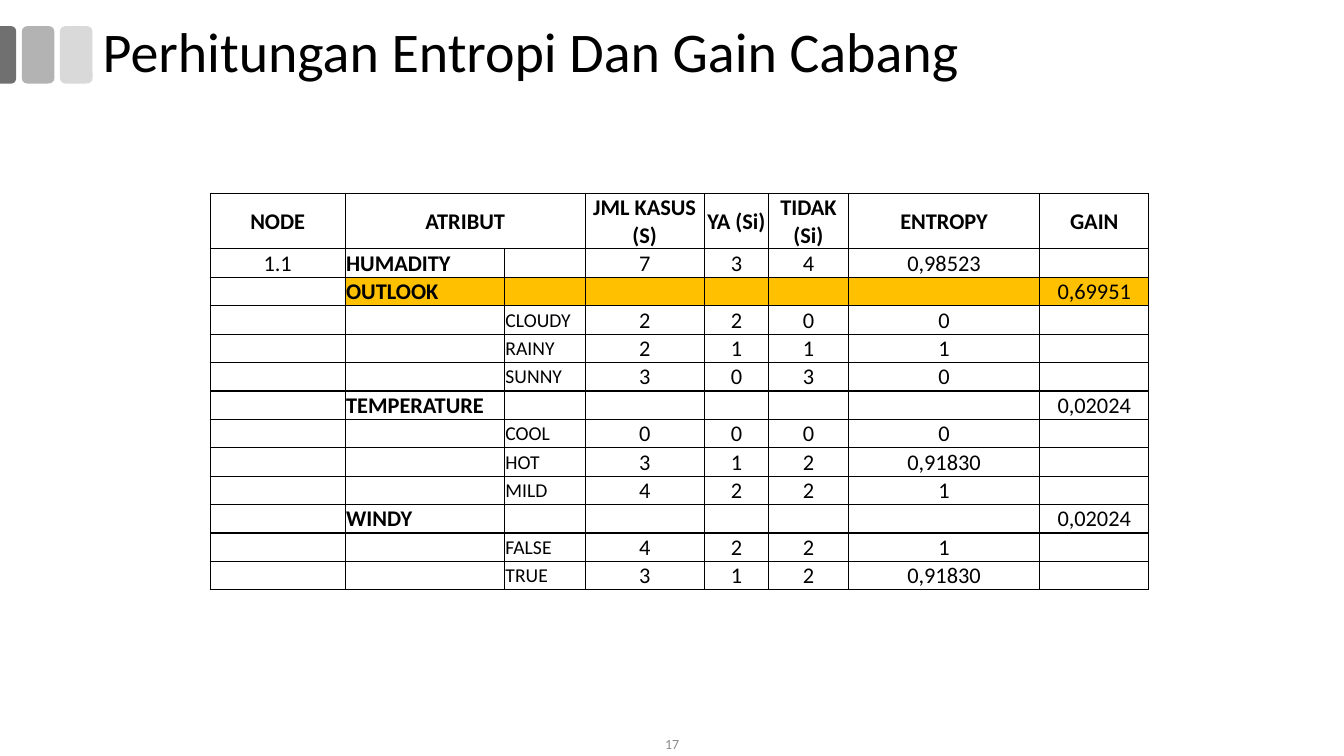
from lxml import etree
from pptx import Presentation
from pptx.dml.color import RGBColor
from pptx.enum import shapes, text
from pptx.oxml.ns import qn
from pptx.util import Pt

COLORS = {
    "black": "000000", "white": "FFFFFF", "highlight": "FFC000", "number": "8C8C8C",
    "dark": "707070", "middle": "B3B3B3", "light": "D9D9D9",
}
FONT = "Calibri"
COLUMN_WIDTHS = [96.5, 113.8, 57.6, 85, 46.1, 56.9, 136.8, 77.8]
HEADER_HEIGHT, ROW_HEIGHT = 39.6, 20.3
HEADER = ["NODE", "ATRIBUT", "", "JML KASUS (S)", "YA (Si)", "TIDAK (Si)", "ENTROPY", "GAIN"]
ROWS = [
    ["1.1", "HUMADITY", "", "7", "3", "4", "0,98523", ""],
    ["", "OUTLOOK", "", "", "", "", "", "0,69951"],
    ["", "", "CLOUDY", "2", "2", "0", "0", ""],
    ["", "", "RAINY", "2", "1", "1", "1", ""],
    ["", "", "SUNNY", "3", "0", "3", "0", ""],
    ["", "TEMPERATURE", "", "", "", "", "", "0,02024"],
    ["", "", "COOL", "0", "0", "0", "0", ""],
    ["", "", "HOT", "3", "1", "2", "0,91830", ""],
    ["", "", "MILD", "4", "2", "2", "1", ""],
    ["", "WINDY", "", "", "", "", "", "0,02024"],
    ["", "", "FALSE", "4", "2", "2", "1", ""],
    ["", "", "TRUE", "3", "1", "2", "0,91830", ""],
]
ATTRIBUTE, VALUE = 1, 2
HIGHLIGHT_ROW = 2


def color(name):
    return RGBColor.from_string(COLORS[name])


def style_paragraph(paragraph, size, color_name="black", bold=False, align=text.PP_ALIGN.LEFT):
    paragraph.alignment = align
    font = paragraph.font
    font.name, font.size, font.bold = FONT, Pt(size), bold
    font.color.rgb = color(color_name)


def add_block(slide, kind, box, fill, rotation=0):
    shape = slide.shapes.add_shape(kind, *map(Pt, box))
    shape.shadow.inherit = False
    shape.fill.solid()
    shape.fill.fore_color.rgb = color(fill)
    shape.line.fill.background()
    shape.rotation = rotation
    return shape


def add_title(slide, title):
    shape = slide.shapes.title
    shape.left, shape.top, shape.width, shape.height = map(Pt, (66.2, 12.2, 892.8, 54))
    frame = shape.text_frame
    frame.text = title
    frame.vertical_anchor = text.MSO_ANCHOR.MIDDLE
    style_paragraph(frame.paragraphs[0], 40)
    frame.paragraphs[0].line_spacing = 0.9


def add_page_number(slide, number):
    frame = slide.shapes.add_textbox(Pt(372.2), Pt(522), Pt(216), Pt(18)).text_frame
    frame.word_wrap = True
    frame.vertical_anchor = text.MSO_ANCHOR.MIDDLE
    frame.text = number
    style_paragraph(frame.paragraphs[0], 10, "number", align=text.PP_ALIGN.CENTER)


def add_borders(cell):
    properties = cell._tc.get_or_add_tcPr()
    for side in ("lnL", "lnR", "lnT", "lnB"):
        line = etree.SubElement(properties, qn("a:" + side), w=str(Pt(1)))
        fill = etree.SubElement(line, qn("a:solidFill"))
        etree.SubElement(fill, qn("a:srgbClr"), val=COLORS["black"])


def fill_cell(cell, words, row, column):
    add_borders(cell)
    highlighted = row == HIGHLIGHT_ROW and column >= ATTRIBUTE
    cell.fill.solid()
    cell.fill.fore_color.rgb = color("highlight" if highlighted else "white")
    cell.margin_left = cell.margin_right = cell.margin_top = Pt(0.7)
    cell.margin_bottom = 0
    cell.vertical_anchor = text.MSO_ANCHOR.MIDDLE
    cell.text = words
    paragraph = cell.text_frame.paragraphs[0]
    label = row > 0 and column in (ATTRIBUTE, VALUE)
    size = 14 if row > 0 and column == VALUE else 16
    align = text.PP_ALIGN.LEFT if label else text.PP_ALIGN.CENTER
    if words == "HUMADITY":
        align = text.PP_ALIGN.JUSTIFY
    style_paragraph(paragraph, size, bold=row == 0 or column == ATTRIBUTE, align=align)
    if not words:
        etree.SubElement(paragraph._p, qn("a:endParaRPr"), sz=str(size * 100))


def add_gain_table(slide):
    rows = [HEADER] + ROWS
    height = HEADER_HEIGHT + ROW_HEIGHT * len(ROWS)
    frame = slide.shapes.add_table(len(rows), len(HEADER), Pt(150.1), Pt(138.2),
                                   Pt(sum(COLUMN_WIDTHS)), Pt(height))
    table = frame.table
    table.first_row = table.horz_banding = False
    for column, width in zip(table.columns, COLUMN_WIDTHS):
        column.width = Pt(width)
    for index, row in enumerate(table.rows):
        row.height = Pt(ROW_HEIGHT if index else HEADER_HEIGHT)
    for row, values in enumerate(rows):
        for column, words in enumerate(values):
            fill_cell(table.cell(row, column), words, row, column)
    table.cell(0, ATTRIBUTE).merge(table.cell(0, VALUE))


def main():
    presentation = Presentation()
    presentation.slide_width, presentation.slide_height = Pt(960), Pt(540)
    slide = presentation.slides.add_slide(presentation.slide_layouts[5])
    rounded = shapes.MSO_SHAPE.ROUNDED_RECTANGLE
    add_block(slide, rounded, (42.8, 18.7, 23.3, 41), "light")
    add_block(slide, rounded, (15.6, 18.7, 23.3, 41), "middle")
    edge = add_block(slide, shapes.MSO_SHAPE.ROUND_2_SAME_RECTANGLE,
                     (-14.8, 33.5, 41, 11.5), "dark", 90)
    edge.adjustments[0], edge.adjustments[1] = 0.29, 0
    add_page_number(slide, "17")
    add_title(slide, "Perhitungan Entropi Dan Gain Cabang")
    add_gain_table(slide)
    presentation.save("out.pptx")


if __name__ == "__main__":
    main()
